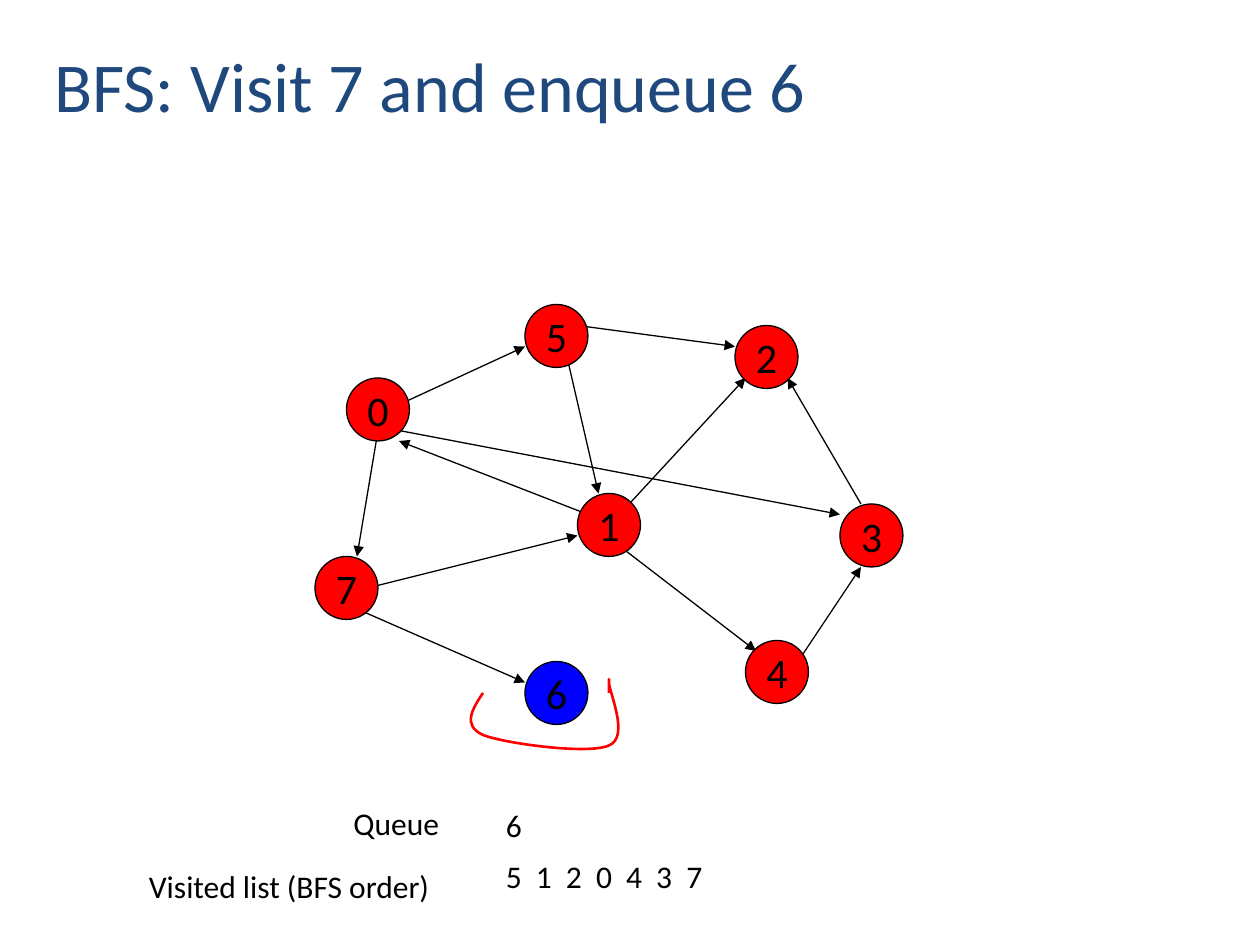
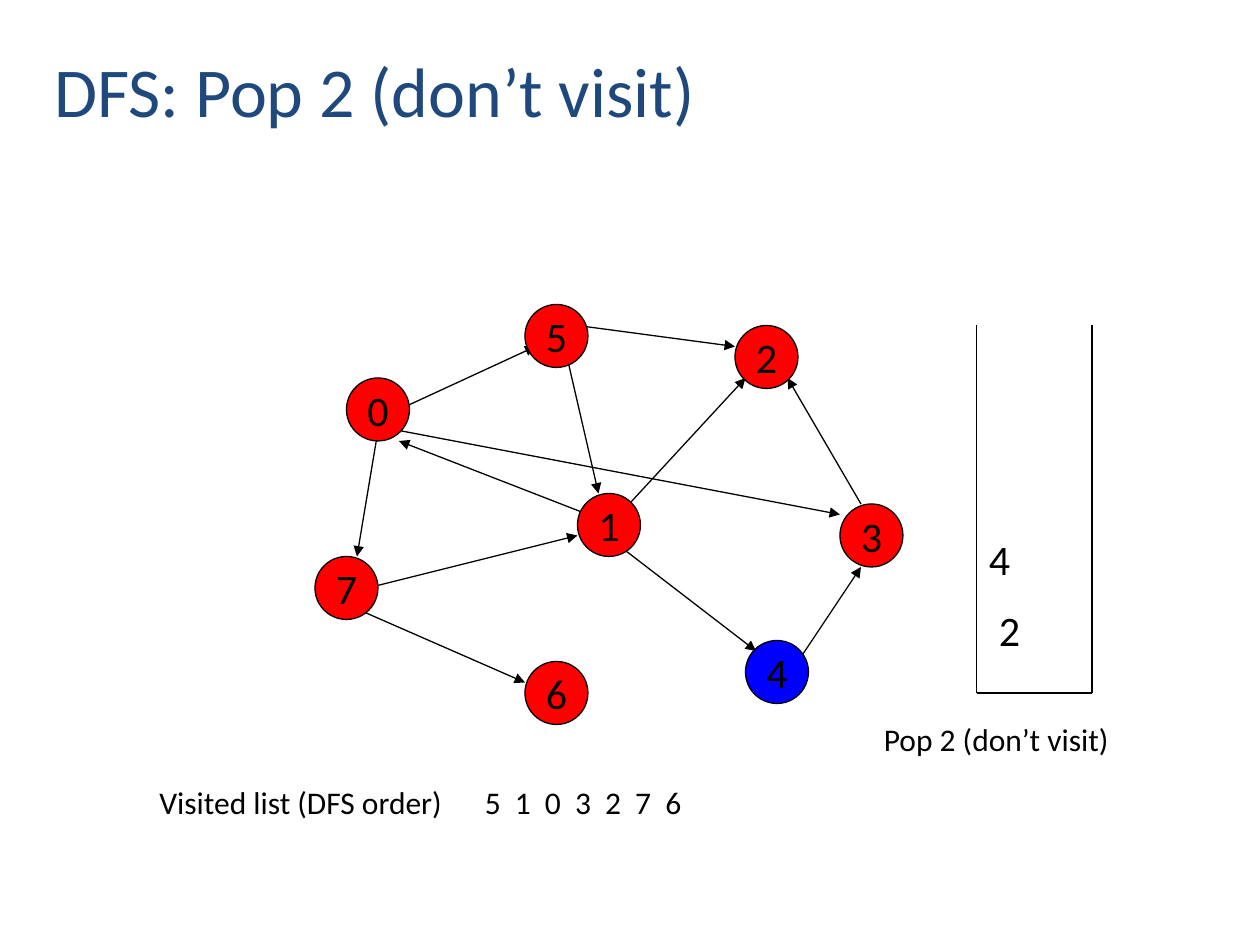
from lxml.etree import SubElement
from pptx import Presentation
from pptx.dml.color import RGBColor
from pptx.enum.shapes import MSO_CONNECTOR, MSO_SHAPE
from pptx.enum.text import MSO_ANCHOR, MSO_AUTO_SIZE, PP_ALIGN
from pptx.oxml.ns import qn
from pptx.util import Inches, Pt

BLACK = RGBColor(0x00, 0x00, 0x00)
RED = RGBColor(0xFF, 0x00, 0x00)
BLUE = RGBColor(0x00, 0x00, 0xFF)
NAVY = RGBColor(0x1F, 0x49, 0x7D)

CELL = Inches(1) // 12
COLUMNS, ROWS = 120, 90
NODE_SIZE = 6
LINE_HEIGHT = 5
TEXT_WIDTH = 30

NODES = {
    "0": (33, 36), "7": (30, 53), "1": (55, 47), "5": (50, 29),
    "4": (71, 61), "3": (80, 48), "2": (70, 31), "6": (50, 63),
}
EDGES = {
    "1-2": (59, 49, 71, 36), "5-1": (54, 34, 57, 47),
    "7-1": (35, 56, 55, 51), "7-6": (34, 58, 50, 65),
    "0-7": (36, 41, 34, 53), "1-4": (59, 52, 72, 62),
    "4-3": (76, 63, 82, 54), "3-2": (82, 48, 75, 36),
    "5-2": (55, 31, 70, 33), "0-3": (38, 41, 80, 49),
    "1-0": (56, 49, 38, 42), "0-5": (37, 39, 50, 33),
}
HAND_MARK = [
    (46, 66), (45, 67.5), (44, 69.1), (46, 70), (48, 70.8), (56, 71.9), (58, 71),
    (60, 70.2), (58, 65.9), (58, 65), (58, 64.2), (58, 65), (58, 66),
]


def cells(*counts):
    """Turn grid counts into lengths."""
    return [round(count * CELL) for count in counts]


class GraphDeck:
    """Style and current page of the graph traversal deck."""

    def __init__(self):
        self.deck = Presentation()
        self.deck.slide_width, self.deck.slide_height = cells(COLUMNS, ROWS)
        self.page = None

    def style(self, para, size, color=BLACK, align=PP_ALIGN.LEFT):
        """Give a paragraph its font and alignment."""
        para.alignment = align
        para.font.name = "Calibri"
        para.font.size = Pt(size)
        para.font.color.rgb = color

    def add_page(self, title, width, height):
        """Start a page with its title."""
        self.page = self.deck.slides.add_slide(self.deck.slide_layouts[5])
        box = self.page.shapes.title
        box.left, box.top, box.width, box.height = cells(4, 3, width, height)
        frame = box.text_frame
        frame.text = title
        frame.auto_size = MSO_AUTO_SIZE.NONE
        frame.vertical_anchor = MSO_ANCHOR.MIDDLE
        self.style(frame.paragraphs[0], 40, NAVY)

    def line(self, ends, arrow=False):
        """Draw a thin straight line, with an arrowhead at its end if asked."""
        connector = self.page.shapes.add_connector(MSO_CONNECTOR.STRAIGHT, *cells(*ends))
        connector.line.color.rgb = BLACK
        connector.line.width = Pt(0.75)
        properties = connector._element.spPr
        if arrow:
            SubElement(properties.find(qn("a:ln")), qn("a:tailEnd"), type="triangle")
        SubElement(properties, qn("a:effectLst"))

    def node(self, name, corner, color):
        """Draw a numbered graph node."""
        circle = self.page.shapes.add_shape(
            MSO_SHAPE.OVAL, *cells(*corner, NODE_SIZE, NODE_SIZE))
        circle.shadow.inherit = False
        circle.fill.solid()
        circle.fill.fore_color.rgb = color
        circle.line.color.rgb = BLACK
        circle.line.width = Pt(0.75)
        frame = circle.text_frame
        frame.text = name
        frame.word_wrap = False
        frame.vertical_anchor = MSO_ANCHOR.MIDDLE
        self.style(frame.paragraphs[0], 24, align=PP_ALIGN.CENTER)

    def graph(self, current, **shifted):
        """Draw the graph with the current node in blue."""
        for ends in (EDGES | shifted.get("edges", {})).values():
            self.line(ends, arrow=True)
        for name, corner in NODES.items():
            self.node(name, corner, BLUE if name == current else RED)

    def text(self, content, left, top, width=TEXT_WIDTH, align=PP_ALIGN.LEFT):
        """Place one line of text and return its paragraph."""
        box = self.page.shapes.add_textbox(*cells(left, top, width, LINE_HEIGHT))
        box.text_frame.word_wrap = True
        para = box.text_frame.paragraphs[0]
        para.text = content
        self.style(para, 18, align=align)
        return para

    def sequence(self, values, left, top):
        """Place a widely spaced row of node numbers."""
        para = self.text(" ".join(values), left, top)
        para.runs[0]._r.get_or_add_rPr().set("spc", "200")

    def stack(self, values, left, top, width, height):
        """Draw an open container with values resting at its bottom."""
        right, bottom = left + width, top + height
        self.line((left, top, left, bottom))
        self.line((right, top, right, bottom))
        self.line((left, bottom, right, bottom))
        box = self.page.shapes.add_textbox(*cells(left, top, width, height - 3))
        frame = box.text_frame
        frame.word_wrap = True
        frame.vertical_anchor = MSO_ANCHOR.BOTTOM
        frame.text = "\n".join(values)
        for para in frame.paragraphs:
            self.style(para, 24)
            para.space_before = Pt(12)
        para._p.get_or_add_pPr().set("marL", str(Inches(0.08)))

    def curve(self, points, color):
        """Draw an open outline of cubic curves."""
        start, *others = [cells(*point) for point in points]
        builder = self.page.shapes.build_freeform(*start)
        builder.add_line_segments(others, close=False)
        shape = builder.convert_to_shape()
        shape.shadow.inherit = False
        shape.fill.background()
        shape.line.color.rgb = color
        shape.line.width = Pt(1.5)
        outline = next(shape._element.iter(qn("a:path")))
        segments = outline.findall(qn("a:lnTo"))
        for first in range(0, len(segments), 3):
            bend = SubElement(outline, qn("a:cubicBezTo"))
            for segment in segments[first:first + 3]:
                bend.append(segment[0])
                outline.remove(segment)


def main():
    """Build both traversal pages."""
    show = GraphDeck()

    show.add_page("BFS: Visit 7 and enqueue 6", 112, 10)
    show.graph("6")
    show.curve(HAND_MARK, RED)
    show.text("Queue", 13, 76, align=PP_ALIGN.RIGHT)
    show.sequence("6", 47, 76.2)
    show.text("Visited list (BFS order)", 13, 82)
    show.sequence("5120437", 47, 81)

    show.add_page("DFS: Pop 2 (don’t visit)", 110, 11)
    show.graph("4", edges={"0-5": (38, 39, 51, 33)})
    show.stack("42", 93, 31, 11, 35)
    show.text("Pop 2 (don’t visit)", 83, 68, width=29)
    show.text("Visited list (DFS order)", 14, 74)
    show.sequence("5103276", 45, 74)

    show.deck.save("out.pptx")


if __name__ == "__main__":
    main()
